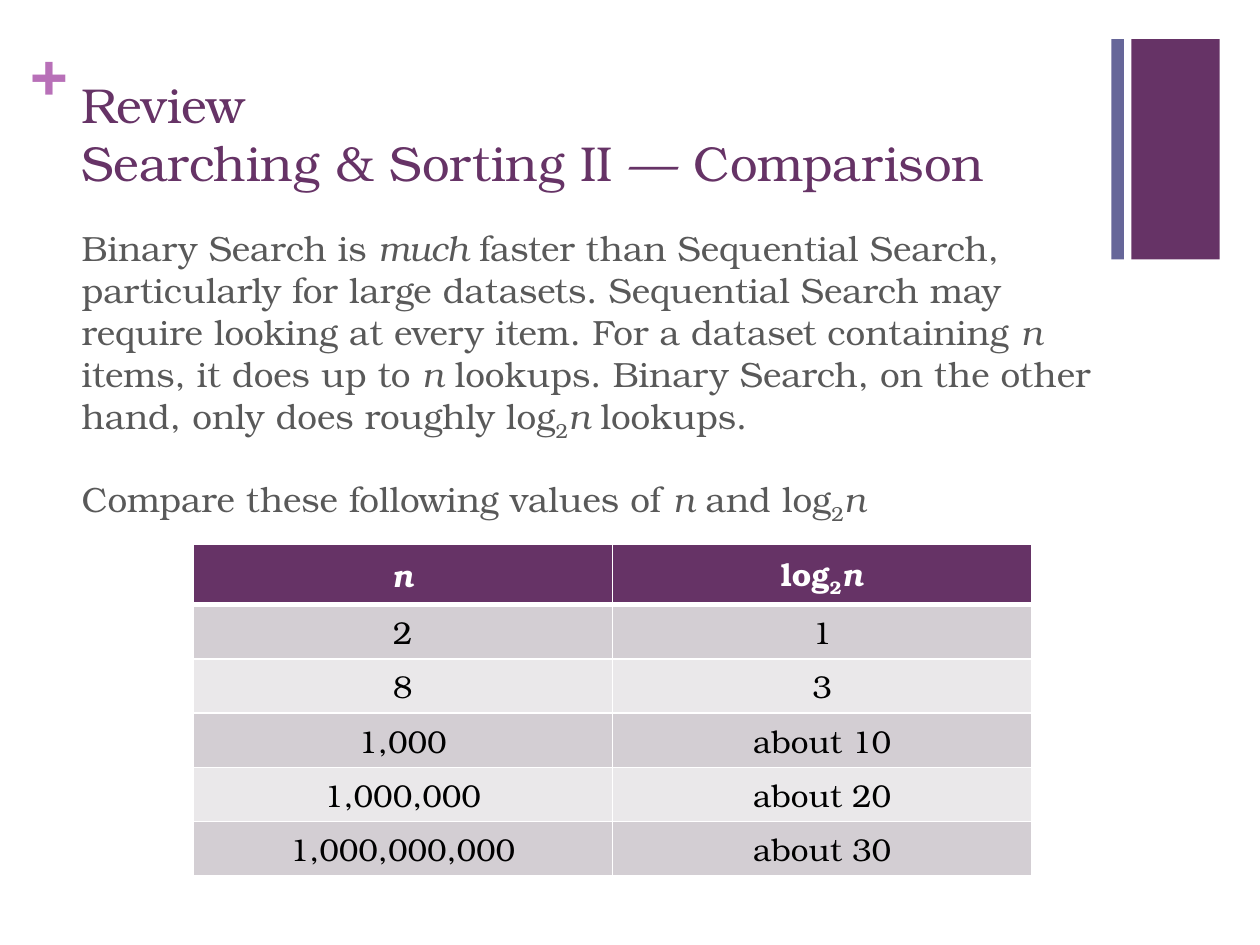
from lxml.etree import SubElement
from pptx import Presentation
from pptx.dml.color import RGBColor as Rgb
from pptx.enum.shapes import MSO_SHAPE as Shape
from pptx.enum.text import MSO_ANCHOR as Anchor, PP_ALIGN as Align
from pptx.oxml.ns import qn
from pptx.util import Inches, Pt

FONT = "TeX Gyre Bonum"
HUES = {
    "plum": "663366", "slate": "666699", "orchid": "B870B8", "gray": "595959",
    "white": "FFFFFF", "black": "000000", "dark": "D3CED3", "light": "EAE8EA",
}
LOG = [("log", ""), ("2", "sub"), ("n", "it")]
INTRO = [
    ("Binary Search is ", ""), ("much", "it"),
    (" faster than Sequential Search, particularly for large datasets. "
     "Sequential Search may require looking at every item. "
     "For a dataset containing ", ""),
    ("n", "it"), (" items, it does up to ", ""), ("n", "it"),
    (" lookups. Binary Search, on the other hand, only does roughly log", ""),
    ("2", "sub"), ("n ", "it"), ("lookups.", ""),
]
TASK = [("Compare these following values of ", ""), ("n", "it"), (" and log", "")] + LOG[1:]
ROWS = [("2", "1"), ("8", "3"), ("1,000", "about 10"),
        ("1,000,000", "about 20"), ("1,000,000,000", "about 30")]


def color(name):
    """Return the named colour."""
    return Rgb.from_string(HUES[name])


def write(para, runs, size, hue, bold=False):
    """Add styled runs to a paragraph."""
    for text, style in runs:
        run = para.add_run()
        run.text = text
        font = run.font
        font.name, font.size, font.bold = FONT, Pt(size), bold
        font.italic = style == "it"
        font.color.rgb = color(hue)
        if style == "sub":
            run._r.get_or_add_rPr().set("baseline", "-25000")


def add_bar(slide, left, width, hue):
    """Draw one upright bar in the corner."""
    bar = slide.shapes.add_shape(
        Shape.RECTANGLE, Inches(left), Inches(0.31), Inches(width), Inches(1.75))
    bar.shadow.inherit = False
    bar.fill.solid()
    bar.fill.fore_color.rgb = color(hue)
    bar.line.fill.background()


def add_box(slide, left, top, width, height):
    """Add a wrapping text box and return its frame."""
    box = slide.shapes.add_textbox(
        Inches(left), Inches(top), Inches(width), Inches(height))
    box.text_frame.word_wrap = True
    return box.text_frame


def add_plus(slide):
    """Add the plus sign beside the title."""
    frame = add_box(slide, 0.24, 0.25, 0.29, 0.61)
    frame.margin_left = frame.margin_right = 0
    frame.margin_top = frame.margin_bottom = 0
    write(frame.paragraphs[0], [("+", "")], 36, "orchid", True)


def add_title(slide):
    """Add the two-line title."""
    frame = add_box(slide, 0.55, 0.53, 8.26, 1.05)
    frame.vertical_anchor = Anchor.MIDDLE
    para = frame.paragraphs[0]
    write(para, [("Review", "")], 28, "plum")
    para.add_line_break()
    write(para, [("Searching & Sorting II — Comparison", "")], 28, "plum")


def add_body(slide):
    """Add the two body paragraphs."""
    frame = add_box(slide, 0.55, 1.75, 8.26, 2.5)
    write(frame.paragraphs[0], INTRO, 20, "gray")
    para = frame.add_paragraph()
    para.space_before = Pt(20)
    write(para, TASK, 20, "gray")


def add_edges(cell, top, base):
    """Give a cell white borders with the given top and base widths."""
    props = cell._tc.get_or_add_tcPr()
    for tag, width in (("L", 1), ("R", 1), ("T", top), ("B", base)):
        line = SubElement(props, qn(f"a:ln{tag}"), w=str(Pt(width)))
        fill = SubElement(line, qn("a:solidFill"))
        SubElement(fill, qn("a:srgbClr"), val=HUES["white"])


def fill_cell(cell, runs, row):
    """Style a cell by its row and write its text."""
    head = row == 0
    add_edges(cell, 3 if row == 1 else 1, 3 if head else 1)
    cell.fill.solid()
    cell.fill.fore_color.rgb = color("plum" if head else ("light", "dark")[row % 2])
    cell.vertical_anchor = Anchor.MIDDLE
    para = cell.text_frame.paragraphs[0]
    para.alignment = Align.CENTER
    write(para, runs, 18, "white" if head else "black", head)


def add_grid(slide):
    """Add the table of values."""
    data = [([("n", "it")], LOG)]
    data += [[[(text, "")] for text in pair] for pair in ROWS]
    grid = slide.shapes.add_table(
        len(data), 2, Inches(1.53), Inches(4.32), Inches(6.66), Inches(2.63)).table
    for col in grid.columns:
        col.width = Inches(3.33)
    for row, cells in enumerate(data):
        grid.rows[row].height = Inches(0.43 if row else 0.48)
        for col, runs in enumerate(cells):
            fill_cell(grid.cell(row, col), runs, row)


def main():
    """Build and save the slide."""
    deck = Presentation()
    deck.slide_width, deck.slide_height = Inches(10), Inches(7.5)
    slide = deck.slides.add_slide(deck.slide_layouts[6])
    add_bar(slide, 8.98, 0.7, "plum")
    add_plus(slide)
    add_bar(slide, 8.82, 0.1, "slate")
    add_title(slide)
    add_body(slide)
    add_grid(slide)
    deck.save("out.pptx")


if __name__ == "__main__":
    main()
